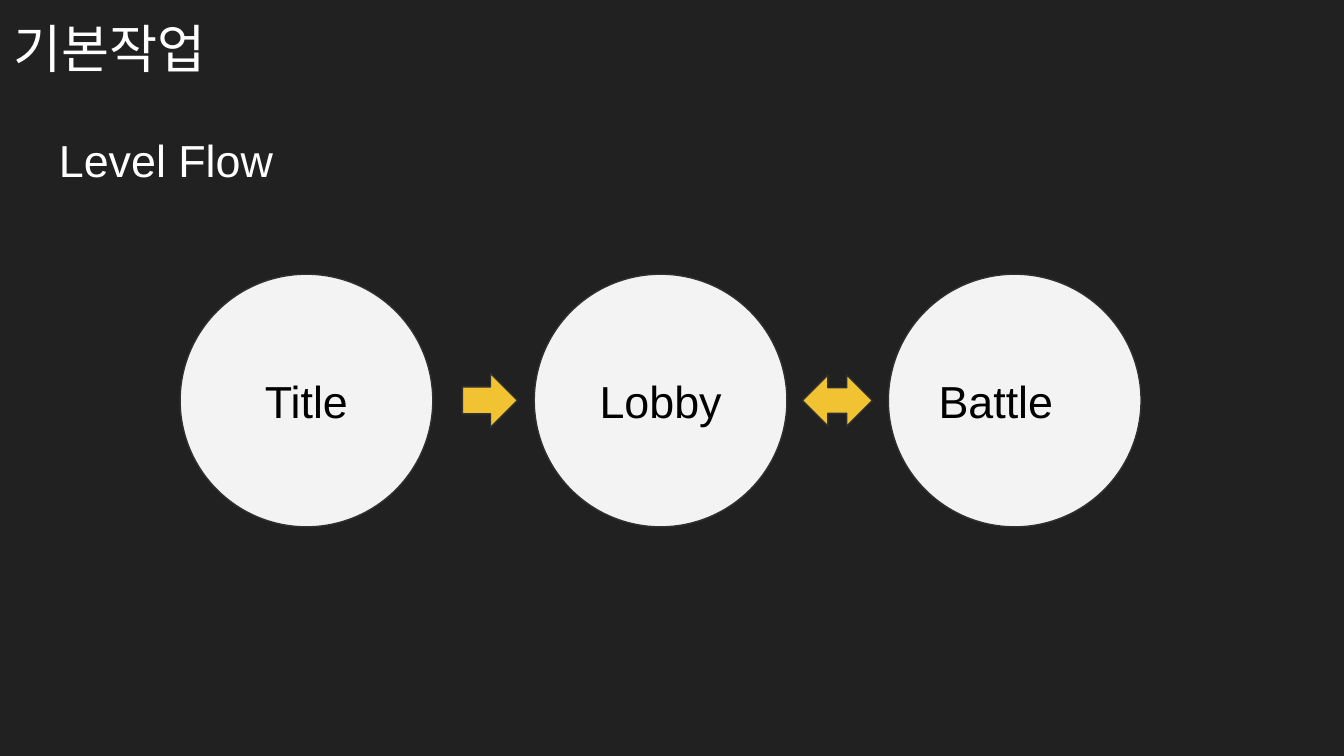
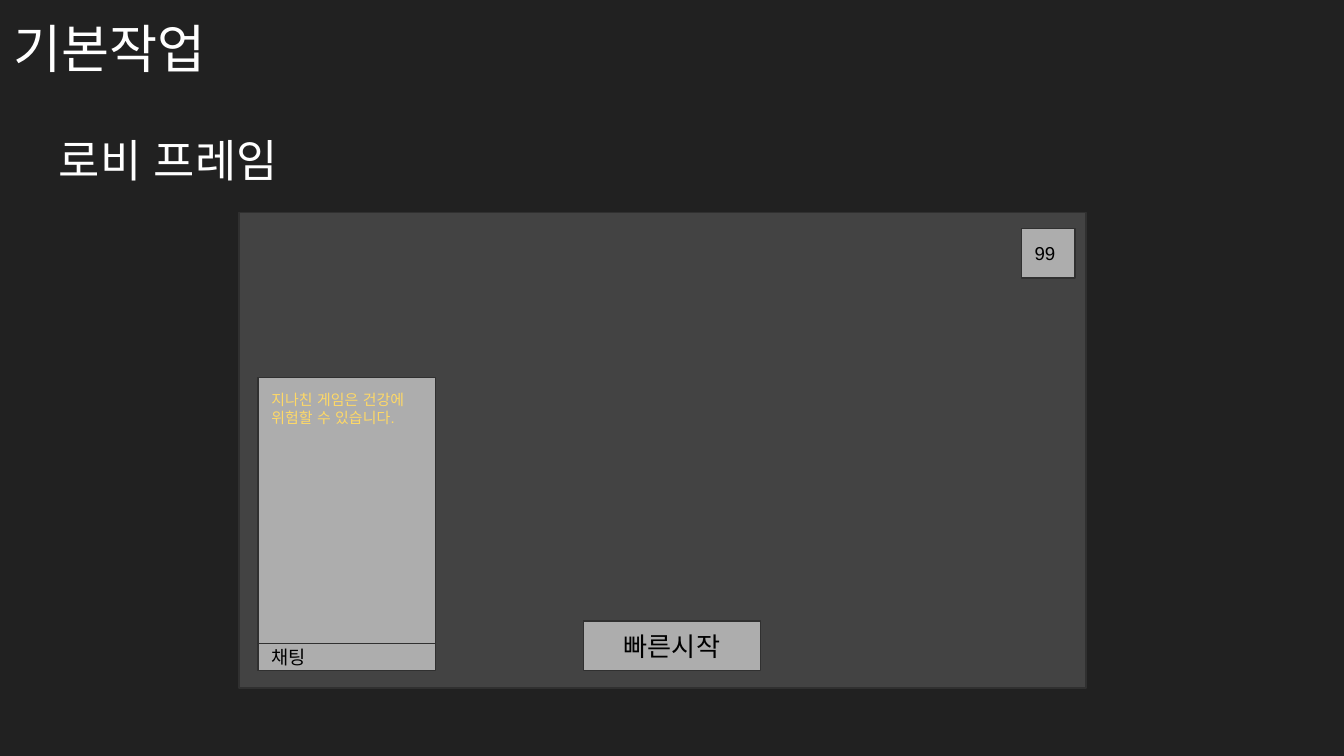
from lxml import etree
from pptx import Presentation
from pptx import util as u
from pptx.dml import color
from pptx.enum import lang, shapes, text
from pptx.oxml import ns

FONT = "Arial"
BACKGROUND, WHITE, BLACK = "212121", "FFFFFF", "000000"
OUTLINE, CIRCLE, ARROW = "303030", "F3F3F3", "F1C232"
FRAME, PANEL, NOTICE = "434343", "ADADAD", "FFD966"

LEFT, CENTER = text.PP_ALIGN.LEFT, text.PP_ALIGN.CENTER
TOP, MIDDLE = text.MSO_ANCHOR.TOP, text.MSO_ANCHOR.MIDDLE
KIND = shapes.MSO_SHAPE

SLIDE_WIDTH = 10
SLIDE_HEIGHT = SLIDE_WIDTH * 9 / 16
TITLE = "기본작업"
TITLE_BOX = (0, 0.02, SLIDE_WIDTH, 0.63)
SUBTITLE_BOX = (0.34, 0.89, 9.32, 0.63)

# Level flow: circles at an equal pitch, arrows centred on their axis
LEVELS = [("Title", CENTER), ("Lobby", CENTER), ("Battle", LEFT)]
CIRCLE_TOP, DIAMETER = 2.04, 1.88
FIRST_LEFT, LAST_LEFT = 1.34, 6.61
ARROWS = [  # kind, left, width, height
    (KIND.RIGHT_ARROW, 3.44, 0.41, 0.4),
    (KIND.LEFT_RIGHT_ARROW, 5.97, 0.52, 0.38),
]

# Lobby frame: the lower panels share a width and a bottom edge
FRAME_BOX = (1.78, 1.58, 6.3, 3.54)
PANEL_WIDTH, PANEL_BOTTOM, BUTTON_HEIGHT = 1.32, 4.99, 0.37
CHAT_LEFT, CHAT_INPUT_HEIGHT, CHAT_LOG_HEIGHT = 1.92, 0.2, 1.98
CHAT_INPUT_TOP = PANEL_BOTTOM - CHAT_INPUT_HEIGHT
LOBBY_PANELS = [  # text, box, size, colour, alignment, anchor
    ("채팅", (CHAT_LEFT, CHAT_INPUT_TOP, PANEL_WIDTH, CHAT_INPUT_HEIGHT),
     10, BLACK, LEFT, MIDDLE),
    ("지나친 게임은 건강에 위험할 수 있습니다.",
     (CHAT_LEFT, CHAT_INPUT_TOP - CHAT_LOG_HEIGHT, PANEL_WIDTH, CHAT_LOG_HEIGHT),
     8, NOTICE, LEFT, TOP),
    ("빠른시작", (4.34, PANEL_BOTTOM - BUTTON_HEIGHT, PANEL_WIDTH, BUTTON_HEIGHT),
     14, BLACK, CENTER, MIDDLE),
    ("99", (7.6, 1.7, 0.4, BUTTON_HEIGHT), 10, BLACK, LEFT, MIDDLE),
]


def rgb(value):
    """Turn a hex string into a colour."""
    return color.RGBColor.from_string(value)


def inches(box):
    """Turn a box of numbers into lengths."""
    return [u.Inches(number) for number in box]


def format_run(run, size, font_color):
    """Give a run its font for Latin and Korean, size and colour."""
    run.font.name = FONT
    run.font.size = u.Pt(size)
    run.font.color.rgb = rgb(font_color)
    run.font.language_id = lang.MSO_LANGUAGE_ID.KOREAN
    properties = run.font._element
    for script in ("a:ea", "a:cs"):
        etree.SubElement(properties, ns.qn(script)).set("typeface", FONT)


def write(shape, words, size, font_color, align=LEFT, anchor=TOP):
    """Set and format the text of a shape."""
    frame = shape.text_frame
    frame.text = words
    frame.word_wrap = True
    frame.auto_size = text.MSO_AUTO_SIZE.NONE
    frame.vertical_anchor = anchor
    frame.margin_left = frame.margin_right = u.Inches(0.1)
    frame.margin_top = frame.margin_bottom = u.Inches(0.1)
    for paragraph in frame.paragraphs:
        paragraph.alignment = align
        for run in paragraph.runs:
            format_run(run, size, font_color)


def add_box(slide, kind, box, fill):
    """Add a filled, thinly outlined preset shape."""
    shape = slide.shapes.add_shape(kind, *inches(box))
    shape.shadow.inherit = False
    shape.fill.solid()
    shape.fill.fore_color.rgb = rgb(fill)
    shape.line.color.rgb = rgb(OUTLINE)
    shape.line.width = u.Pt(0.75)
    return shape


def add_slide(presentation):
    """Add a slide with the shared title."""
    slide = presentation.slides.add_slide(presentation.slide_layouts[5])
    title = slide.shapes.title
    title.left, title.top, title.width, title.height = inches(TITLE_BOX)
    write(title, TITLE, 28, WHITE)
    return slide


def add_subtitle(slide, words):
    """Add the line below the title."""
    write(slide.shapes.add_textbox(*inches(SUBTITLE_BOX)), words, 24, WHITE)


def build_level_flow(presentation):
    """Build the slide of levels joined by arrows."""
    slide = add_slide(presentation)
    pitch = (LAST_LEFT - FIRST_LEFT) / (len(LEVELS) - 1)
    for index, (name, align) in enumerate(LEVELS):
        box = (FIRST_LEFT + index * pitch, CIRCLE_TOP, DIAMETER, DIAMETER)
        circle = add_box(slide, KIND.OVAL, box, CIRCLE)
        write(circle, name, 24, BLACK, align, MIDDLE)
    axis = CIRCLE_TOP + DIAMETER / 2
    for kind, left, width, height in ARROWS:
        add_box(slide, kind, (left, axis - height / 2, width, height), ARROW)
    add_subtitle(slide, "Level Flow")


def build_lobby_frame(presentation):
    """Build the slide with the lobby screen layout."""
    slide = add_slide(presentation)
    add_subtitle(slide, "로비 프레임")
    add_box(slide, KIND.RECTANGLE, FRAME_BOX, FRAME)
    for words, box, size, font_color, align, anchor in LOBBY_PANELS:
        panel = add_box(slide, KIND.RECTANGLE, box, PANEL)
        write(panel, words, size, font_color, align, anchor)


presentation = Presentation()
presentation.slide_width = u.Inches(SLIDE_WIDTH)
presentation.slide_height = u.Inches(SLIDE_HEIGHT)
background = presentation.slide_master.background.fill
background.solid()
background.fore_color.rgb = rgb(BACKGROUND)
build_level_flow(presentation)
build_lobby_frame(presentation)
presentation.save("out.pptx")
